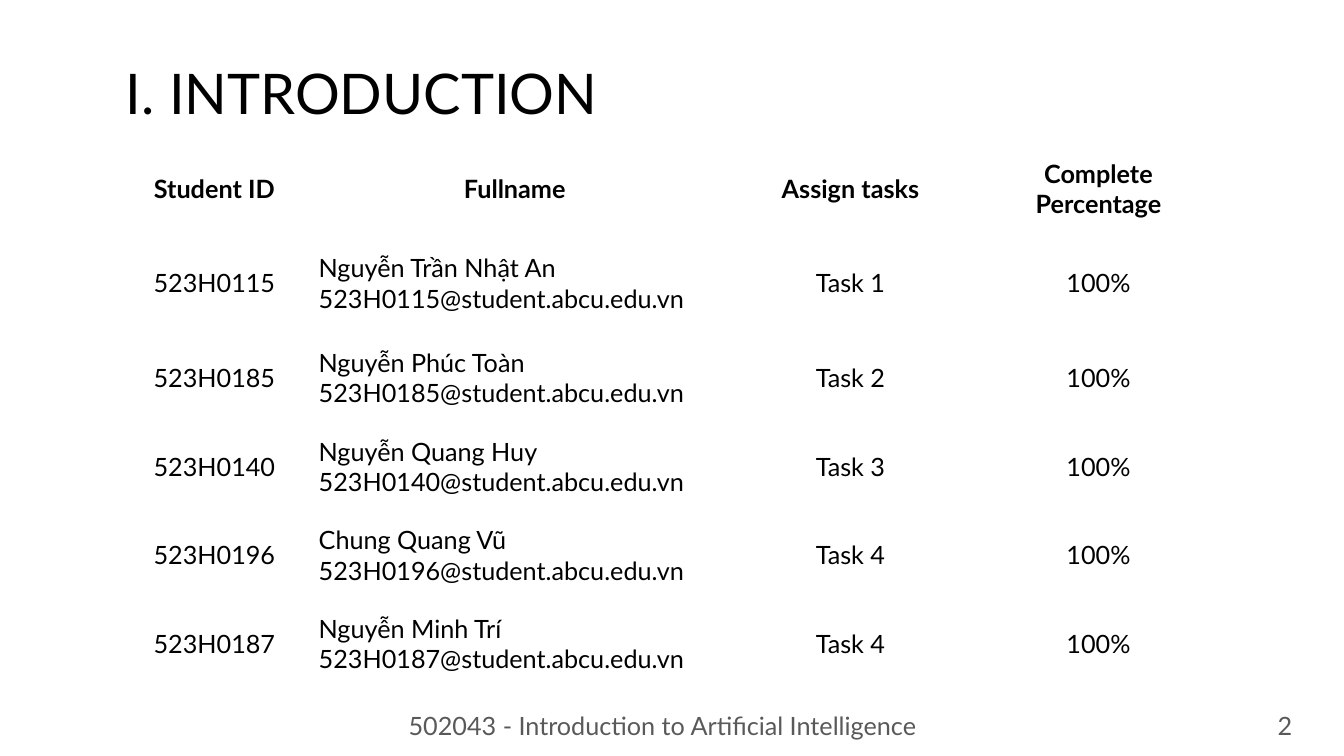
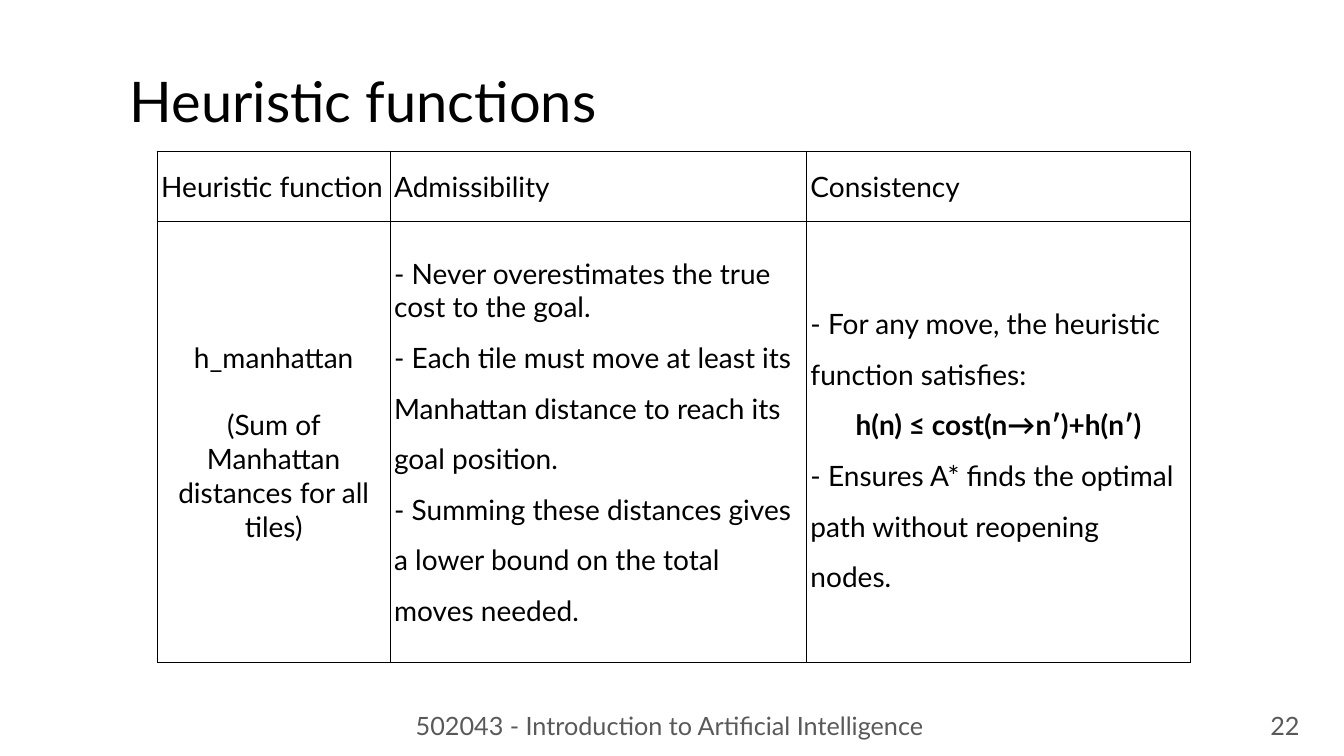
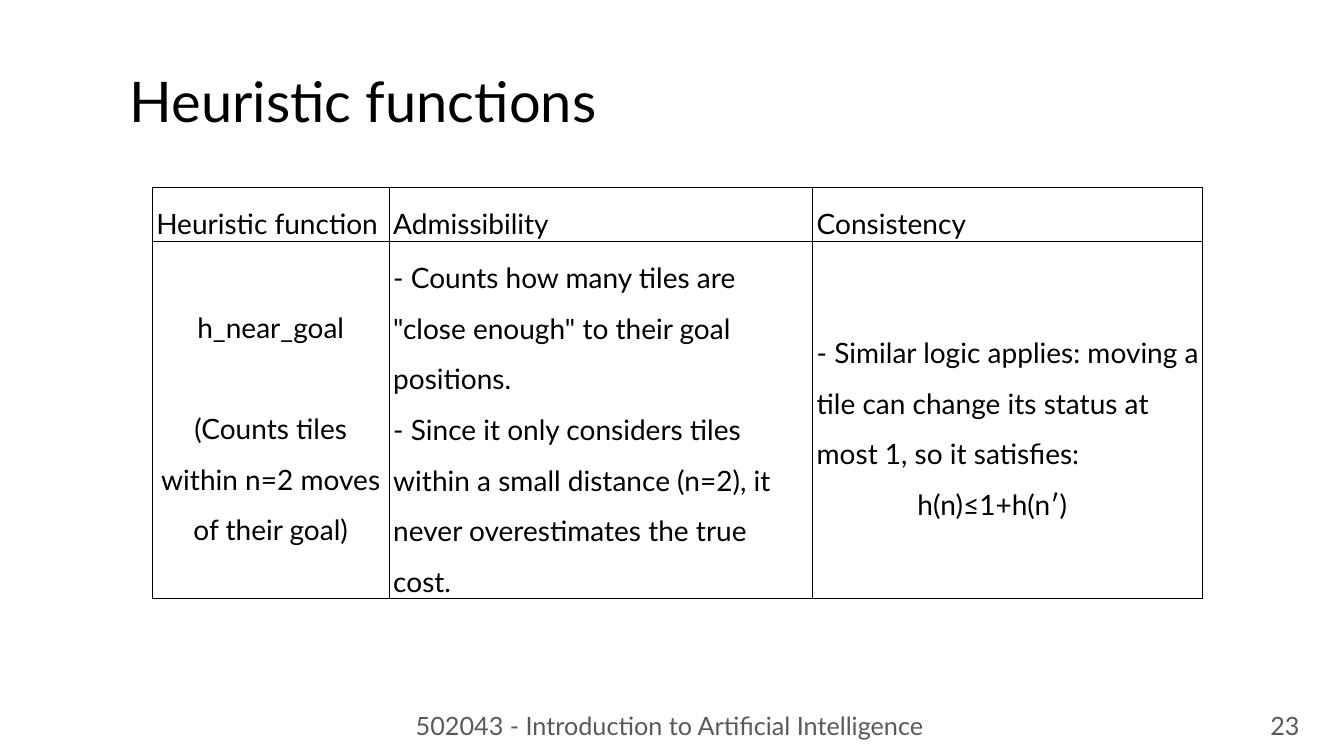
from dataclasses import dataclass

from lxml.etree import SubElement
from pptx import Presentation
from pptx.dml.color import RGBColor
from pptx.enum.text import MSO_ANCHOR as Anchor, PP_ALIGN as Align
from pptx.oxml.ns import qn
from pptx.util import Inches, Pt

COLORS = {"paper": "FFFFFF", "ink": "000000", "muted": "595959"}
FONT = "Lato"
COURSE = "502043 - Introduction to Artificial Intelligence"
MAIL_DOMAIN = "student.abcu.edu.vn"
HEURISTIC_HEADINGS = ("Heuristic function", "Admissibility", "Consistency")


@dataclass
class Para:
    text: str
    align: Align = Align.LEFT
    spacing: float = 1.0
    before: int = 0
    bold: bool = False
    indent: float = 0


class Deck:
    """Shared style and current slide; lengths are percentages of the slide's size."""

    def __init__(self):
        self.prs = Presentation()
        self.prs.slide_width, self.prs.slide_height = Inches(13.33), Inches(7.5)
        self.slide = None

    def x(self, share):
        return round(self.prs.slide_width * share / 100)

    def y(self, share):
        return round(self.prs.slide_height * share / 100)

    def add_paras(self, frame, paras, size, color="ink"):
        for index, para in enumerate(paras):
            line = frame.paragraphs[0] if index == 0 else frame.add_paragraph()
            line.alignment, line.line_spacing = para.align, para.spacing
            line.space_before = Pt(para.before)
            if para.indent:
                line._p.get_or_add_pPr().set("marL", str(self.x(para.indent)))
            run = line.add_run()
            run.text = para.text
            run.font.name, run.font.size, run.font.bold = FONT, Pt(size), para.bold
            run.font.color.rgb = RGBColor.from_string(COLORS[color])

    def text(self, left, top, width, height, para, size, color="ink", wrap=True):
        box = self.slide.shapes.add_textbox(
            self.x(left), self.y(top), self.x(width), self.y(height))
        box.text_frame.word_wrap = wrap
        self.add_paras(box.text_frame, [para], size, color)

    def page(self, title, number, title_left=8.93, title_spacing=1.0, footer_left=29.86):
        self.slide = self.prs.slides.add_slide(self.prs.slide_layouts[6])
        self.text(title_left, 8.13, 80, 10.5, Para(title, spacing=title_spacing), 40)
        self.text(footer_left, 93.3, 39.91, 5.33, Para(COURSE, Align.CENTER),
                  18, "muted", wrap=False)
        self.text(93.77, 93.3, 3.68, 5.33, Para(str(number), Align.CENTER),
                  18, "muted", wrap=False)

    def style_cell(self, cell, border, insets):
        cell.vertical_anchor = Anchor.MIDDLE
        if insets:
            cell.margin_left = cell.margin_right = Inches(insets[0])
            cell.margin_top = cell.margin_bottom = Inches(insets[1])
        props = cell._tc.get_or_add_tcPr()
        for side in ("a:lnL", "a:lnR", "a:lnT", "a:lnB"):
            edge = SubElement(props, qn(side), w=str(Pt(1)))
            SubElement(SubElement(edge, qn("a:solidFill")), qn("a:srgbClr"), val=COLORS[border])
        cell.fill.solid()
        cell.fill.fore_color.rgb = RGBColor.from_string(COLORS["paper"])

    def table(self, left, top, widths, heights, rows, size, border="ink", insets=None):
        """Fill a table from rows of cells, each cell a list of Para."""
        table = self.slide.shapes.add_table(
            len(heights), len(widths), self.x(left), self.y(top),
            self.x(sum(widths)), self.y(sum(heights))).table
        table.first_row = table.horz_banding = False
        for column, width in zip(table.columns, widths):
            column.width = self.x(width)
        for row, height, contents in zip(table.rows, heights, rows):
            row.height = self.y(height)
            for cell, paras in zip(row.cells, contents):
                self.style_cell(cell, border, insets)
                self.add_paras(cell.text_frame, paras, size)

    def heuristic_table(self, left, top, widths, heights, heading_spacing, body):
        headings = [[Para(text, spacing=heading_spacing)] for text in HEURISTIC_HEADINGS]
        self.table(left, top, widths, heights, [headings, body], 20, insets=(0.04, 0.02))


def centered(text, **style):
    return Para(text, Align.CENTER, **style)


def wide(text, **style):
    return Para(text, spacing=1.5, **style)


def introduction(deck):
    deck.page("I. INTRODUCTION", 2, title_left=8.63, title_spacing=0.9, footer_left=29.33)
    students = [
        ("523H0115", "Nguyễn Trần Nhật An", "Task 1"),
        ("523H0185", "Nguyễn Phúc Toàn", "Task 2"),
        ("523H0140", "Nguyễn Quang Huy", "Task 3"),
        ("523H0196", "Chung Quang Vũ", "Task 4"),
        ("523H0187", "Nguyễn Minh Trí", "Task 4"),
    ]
    headings = ("Student ID", "Fullname", "Assign tasks", "Complete Percentage")
    rows = [[[centered(text, bold=True)] for text in headings]]
    for student_id, name, task in students:
        rows.append([[centered(student_id)],
                     [Para(name), Para(f"{student_id}@{MAIL_DOMAIN}")],
                     [centered(task)], [centered("100%")]])
    deck.table(8.93, 19.07, (14.03, 30.68, 19.28, 17.63),
               (11.73, 13.33) + (11.73,) * 4, rows, 18, border="paper")


def manhattan(deck):
    deck.page("Heuristic functions", 22)
    deck.heuristic_table(11.7, 20, (17.33, 30.98, 28.58), (9.33, 58.27), 1.0, [
        [centered("h_manhattan"),
         centered("(Sum of Manhattan distances for all tiles)", before=24)],
        [Para("- Never overestimates the true cost to the goal."),
         wide("- Each tile must move at least its Manhattan distance to reach its goal position."),
         wide("- Summing these distances gives a lower bound on the total moves needed.")],
        [wide("- For any move, the heuristic function satisfies:"),
         centered("h(n) ≤ cost(n→n′)+h(n′)", spacing=1.5, bold=True),
         wide("- Ensures A* finds the optimal path without reopening nodes.")],
    ])


def near_goal(deck):
    deck.page("Heuristic functions", 23)
    deck.heuristic_table(11.33, 24.8, (17.63, 31.51, 29.03), (7.13, 47.07), 1.5, [
        [centered("h_near_goal", spacing=1.5),
         centered("(Counts tiles within n=2 moves of their goal)", spacing=1.5, before=36)],
        [wide('- Counts how many tiles are "close enough" to their goal positions.'),
         wide("- Since it only considers tiles within a small distance (n=2), "
              "it never overestimates the true cost.")],
        [wide("- Similar logic applies: moving a tile can change its status at most 1, "
              "so it satisfies:"),
         wide("h(n)≤1+h(n′)", indent=7.5)],
    ])


def main():
    deck = Deck()
    for build in (introduction, manhattan, near_goal):
        build(deck)
    deck.prs.save("out.pptx")


if __name__ == "__main__":
    main()
